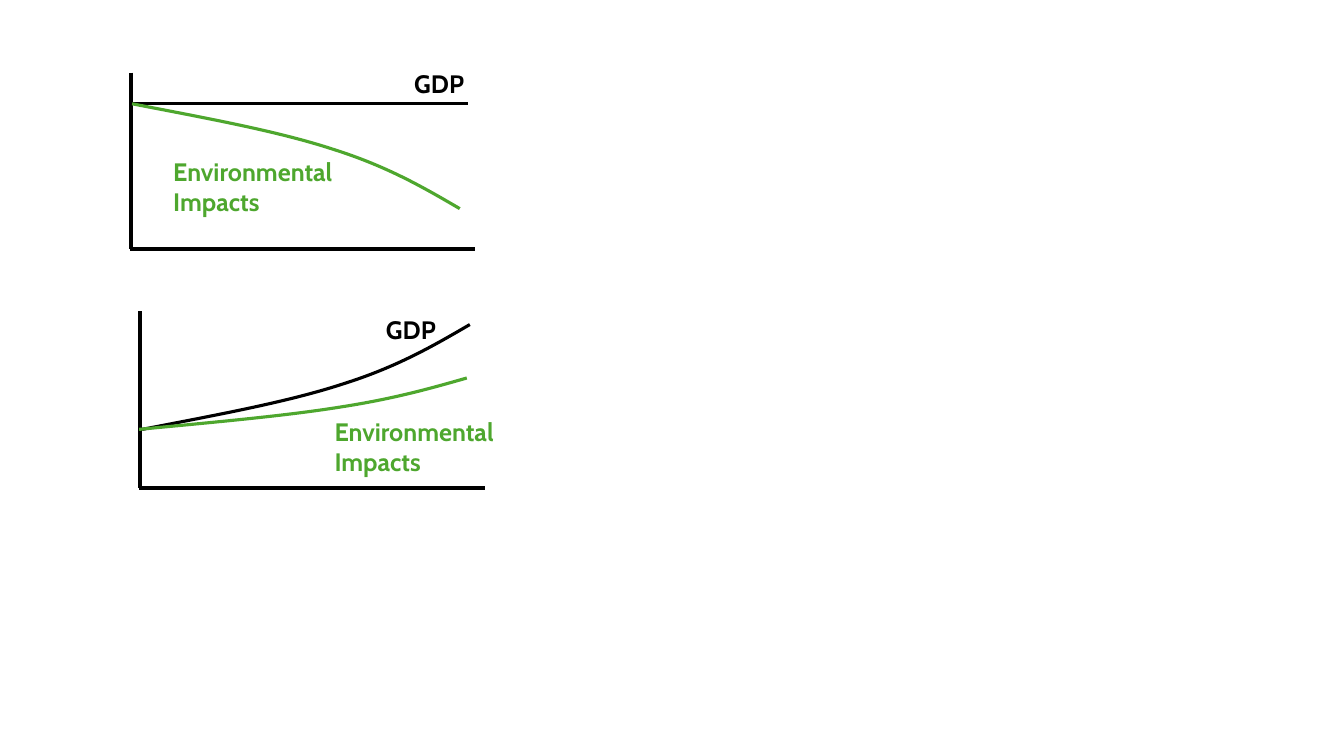
import pptx
import pptx.dml.color
import pptx.enum.shapes
import pptx.enum.text
import pptx.oxml
import pptx.oxml.ns
import pptx.util
from pptx.util import Inches

BLACK = "000000"
GREEN = "4EA72E"
AXIS_WIDTH = 3
SERIES_WIDTH = 2.25

# Start point, then two cubic segments of three points each, from (0, 0)
CURVE = [(0, 0), (0.72, 0.14), (1.44, 0.27), (1.99, 0.45),
         (2.53, 0.62), (2.89, 0.83), (3.25, 1.04)]


def rgb(value):
    return pptx.dml.color.RGBColor.from_string(value)


def set_format(target, values):
    for name, value in values.items():
        setattr(target, name, value)


def style_line(shape, color, width):
    shape.line.color.rgb = rgb(color)
    shape.line.width = pptx.util.Pt(width)


def add_line(page, start, end, width):
    line = page.shapes.add_connector(
        pptx.enum.shapes.MSO_CONNECTOR.STRAIGHT,
        *(Inches(value) for value in start + end))
    style_line(line, BLACK, width)
    pptx.oxml.ns.qn("a:effectLst")
    line._element.spPr.append(pptx.oxml.parse_xml(
        f"<a:effectLst {pptx.oxml.ns.nsdecls('a')}/>"))


def add_curve(page, left, top, color, stretch):
    """Draw CURVE from (left, top), its drop multiplied by stretch."""
    points = [(Inches(left + x), Inches(top + y * stretch)) for x, y in CURVE]
    builder = page.shapes.build_freeform(*points[0])
    builder.add_line_segments(points[1:], close=False)
    curve = builder.convert_to_shape()
    curve.shadow.inherit = False
    curve.fill.background()
    style_line(curve, color, SERIES_WIDTH)
    bend_segments(curve)


def bend_segments(curve):
    """Turn every three straight segments into one cubic segment."""
    qn = pptx.oxml.ns.qn
    outline = next(curve._element.iter(qn("a:path")))
    segments = outline.findall(qn("a:lnTo"))
    for first in range(0, len(segments), 3):
        cubic = outline.makeelement(qn("a:cubicBezTo"), {})
        outline.append(cubic)
        for segment in segments[first:first + 3]:
            cubic.append(segment[0])
            outline.remove(segment)


def add_label(page, text, color, left, top, width, height):
    box = page.shapes.add_textbox(
        *(Inches(value) for value in (left, top, width, height)))
    frame = box.text_frame
    frame.text = text
    set_format(frame, {
        "word_wrap": False,
        "auto_size": pptx.enum.text.MSO_AUTO_SIZE.SHAPE_TO_FIT_TEXT,
    })
    for para in frame.paragraphs:
        set_format(para.runs[0].font, {
            "name": "Cabin", "size": pptx.util.Pt(18), "bold": True})
        para.runs[0].font.color.rgb = rgb(color)


def add_axes(page, left, top, bottom, right):
    add_line(page, (left, top), (left, bottom), AXIS_WIDTH)
    add_line(page, (right, bottom), (left - 0.01, bottom), AXIS_WIDTH)


def add_labels(page, gdp_at, impacts_at):
    add_label(page, "GDP", BLACK, *gdp_at, 0.71, 0.4)
    add_label(page, "Environmental\nImpacts", GREEN, *impacts_at, 1.93, 0.71)


def main():
    deck = pptx.Presentation()
    set_format(deck, {"slide_width": Inches(13.33),
                      "slide_height": Inches(7.5)})
    page = deck.slides.add_slide(deck.slide_layouts[6])

    # Steady GDP, falling impacts
    add_axes(page, 1.3, 0.72, 2.47, 4.71)
    add_line(page, (1.29, 1.03), (4.64, 1.03), SERIES_WIDTH)
    add_curve(page, 1.31, 1.03, GREEN, 1)
    add_labels(page, (4.01, 0.63), (1.62, 1.5))

    # Growing GDP, impacts growing more slowly
    add_axes(page, 1.39, 3.09, 4.84, 4.81)
    add_curve(page, 1.41, 4.26, BLACK, -1)
    add_labels(page, (3.73, 3.07), (3.22, 4.08))
    add_curve(page, 1.38, 4.26, GREEN, -0.49)

    deck.save("out.pptx")


if __name__ == "__main__":
    main()
